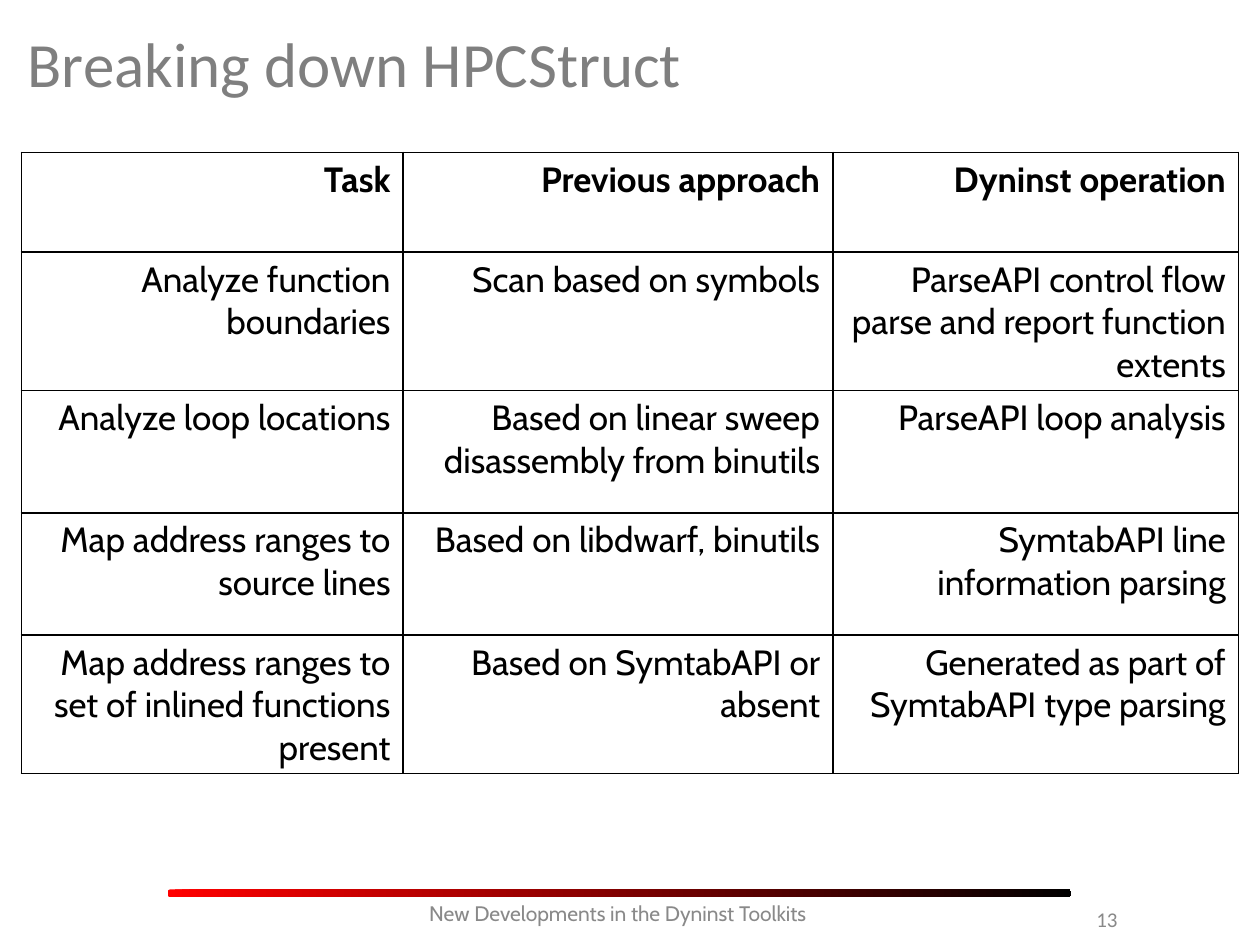
from pptx import Presentation
from pptx.dml.color import RGBColor
from pptx.enum.shapes import MSO_SHAPE
from pptx.enum.text import MSO_ANCHOR, PP_ALIGN
from pptx.oxml import parse_xml
from pptx.oxml.ns import nsdecls
from pptx.util import Inches, Pt

LEFT, CENTER, RIGHT = PP_ALIGN.LEFT, PP_ALIGN.CENTER, PP_ALIGN.RIGHT
TOP, MIDDLE = MSO_ANCHOR.TOP, MSO_ANCHOR.MIDDLE
ROUNDED = MSO_SHAPE.ROUNDED_RECTANGLE

COLORS = {
    "title": "7F7F7F",
    "footer": "898989",
    "text": "000000",
    "border": "000000",
    "bar_start": "FF0000",
    "bar_end": "000000",
}
HEADING_FONT, BODY_FONT = "Calibri", "Cabin"

ROWS = [
    ("Task", "Previous approach", "Dyninst operation"),
    ("Analyze function boundaries", "Scan based on symbols",
     "ParseAPI control flow parse and report function extents"),
    ("Analyze loop locations", "Based on linear sweep disassembly from binutils",
     "ParseAPI loop analysis"),
    ("Map address ranges to source lines", "Based on libdwarf, binutils",
     "SymtabAPI line information parsing"),
    ("Map address ranges to set of inlined functions present",
     "Based on SymtabAPI or absent",
     "Generated as part of SymtabAPI type parsing"),
]
COL_WIDTHS = [3.03, 3.41, 3.22]
ROW_HEIGHTS = [0.79] + [0.97] * 4


def color(name):
    return RGBColor.from_string(COLORS[name])


class SlideBuilder:
    def __init__(self, slide):
        self.slide = slide

    def format_paragraph(self, p, font, size, color_name, align, bold=False):
        p.alignment = align
        p.font.name = font
        p.font.size = Pt(size)
        p.font.bold = bold
        p.font.color.rgb = color(color_name)

    def fill_frame(self, sp, text, font, size, color_name, align, anchor):
        tf = sp.text_frame
        tf.word_wrap = True
        tf.vertical_anchor = anchor
        tf.margin_left = tf.margin_right = Inches(0.05)
        tf.margin_top = tf.margin_bottom = Inches(0.05)
        tf.text = text
        self.format_paragraph(tf.paragraphs[0], font, size, color_name, align)

    def title(self, text, left, top, width, height):
        sp = self.slide.shapes.title
        sp.left, sp.top = Inches(left), Inches(top)
        sp.width, sp.height = Inches(width), Inches(height)
        self.fill_frame(sp, text, HEADING_FONT, 36, "title", LEFT, MIDDLE)

    def footer(self, text, left, top, width, height, font, align, anchor):
        sp = self.slide.shapes.add_textbox(
            Inches(left), Inches(top), Inches(width), Inches(height))
        self.fill_frame(sp, text, font, 12, "footer", align, anchor)

    def gradient_bar(self, left, top, width, height):
        sp = self.slide.shapes.add_shape(
            ROUNDED, Inches(left), Inches(top), Inches(width), Inches(height))
        sp.adjustments[0] = 0.33
        sp.shadow.inherit = False
        sp.line.fill.background()
        sp.fill.gradient()
        sp.fill.gradient_angle = 0
        for stop, name in zip(sp.fill.gradient_stops, ("bar_start", "bar_end")):
            stop.color.rgb = color(name)

    def cell_borders(self, cell):
        tc_pr = cell._tc.get_or_add_tcPr()
        for i, side in enumerate(("lnL", "lnR", "lnT", "lnB")):
            tc_pr.insert(i, parse_xml(
                f'<a:{side} {nsdecls("a")} w="{Pt(1)}"><a:solidFill>'
                f'<a:srgbClr val="{COLORS["border"]}"/></a:solidFill></a:{side}>'))

    def table(self, rows, left, top, col_widths, row_heights):
        table = self.slide.shapes.add_table(
            len(rows), len(col_widths), Inches(left), Inches(top),
            Inches(sum(col_widths)), Inches(sum(row_heights))).table
        table.first_row = table.horz_banding = False
        for column, width in zip(table.columns, col_widths):
            column.width = Inches(width)
        for r, (texts, height) in enumerate(zip(rows, row_heights)):
            table.rows[r].height = Inches(height)
            for c, text in enumerate(texts):
                cell = table.cell(r, c)
                cell.text = text
                cell.fill.background()
                self.format_paragraph(cell.text_frame.paragraphs[0], BODY_FONT,
                                      20, "text", RIGHT, bold=r == 0)
                self.cell_borders(cell)


def main():
    prs = Presentation()
    prs.slide_width, prs.slide_height = Inches(10), Inches(7.5)
    s = SlideBuilder(prs.slides.add_slide(prs.slide_layouts[5]))

    # Footer bar and text
    s.gradient_bar(1.33, 7.06, 7.17, 0.06)
    s.footer("New Developments in the Dyninst Toolkits", 1.32, 7.1, 7.17, 0.29,
             BODY_FONT, CENTER, TOP)

    # Title and page number
    s.title("Breaking down HPCStruct", 0.17, 0.08, 9.67, 0.83)
    s.footer("13", 1.41, 7.15, 7.51, 0.29, HEADING_FONT, RIGHT, MIDDLE)

    # Comparison of approaches
    s.table(ROWS, 0.17, 1.21, COL_WIDTHS, ROW_HEIGHTS)

    prs.save("out.pptx")


if __name__ == "__main__":
    main()
